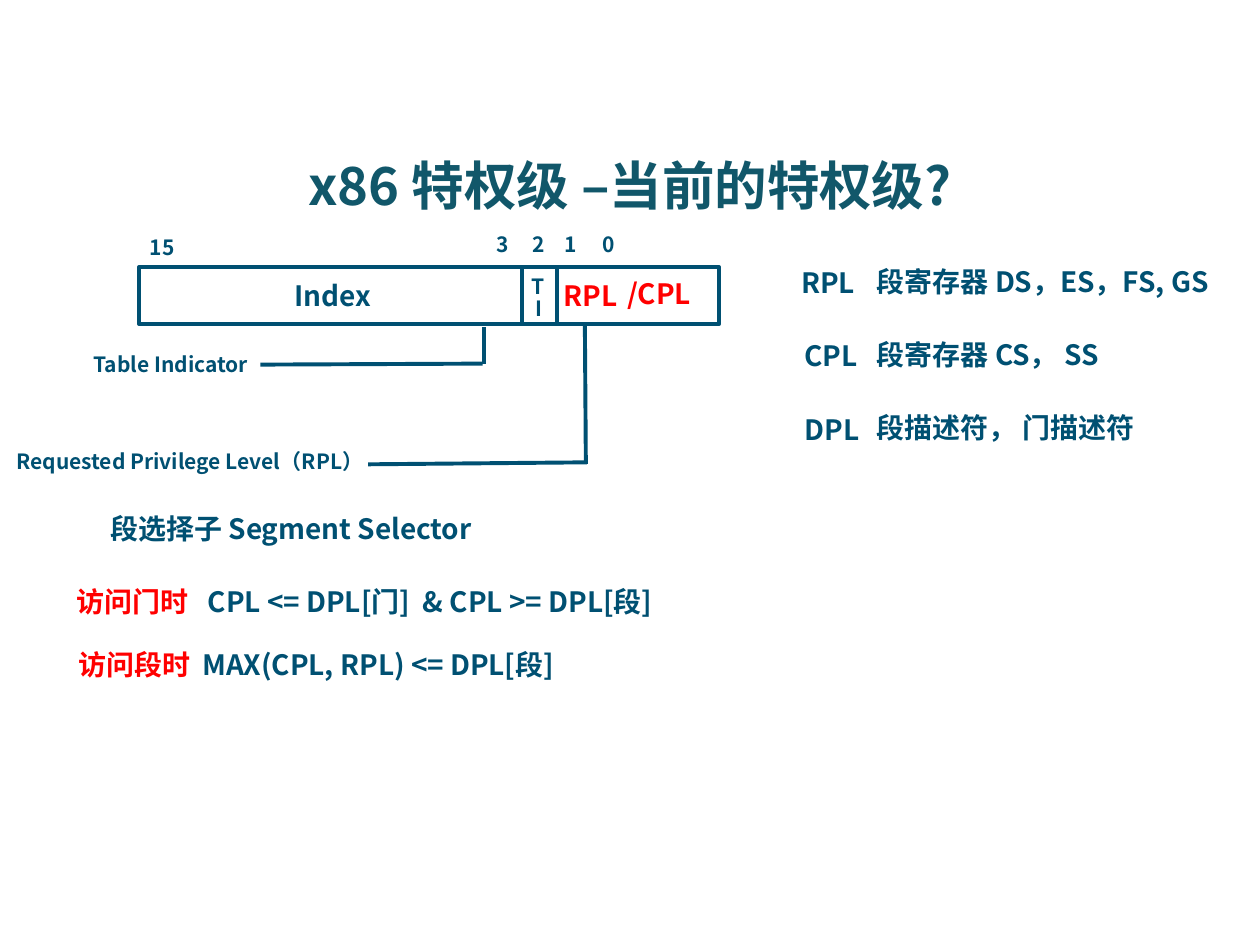
from lxml import etree
from pptx import Presentation
from pptx.dml.color import RGBColor
from pptx.enum.shapes import MSO_CONNECTOR, MSO_SHAPE
from pptx.enum.text import PP_ALIGN
from pptx.oxml.ns import qn
from pptx.util import Cm, Pt

STRAIGHT = MSO_CONNECTOR.STRAIGHT
RECTANGLE = MSO_SHAPE.RECTANGLE
LEFT, CENTER = PP_ALIGN.LEFT, PP_ALIGN.CENTER
FONT = "Noto Sans CJK SC"
BLUE, TEAL, RED = "005072", "11576A", "FF0000"
LINE_WIDTH = Pt(2.25)
BODY, SMALL = 16, 12
HEIGHTS = {30: 1.55, BODY: 0.94, SMALL: 0.76}


def color(hex_string):
    return RGBColor.from_string(hex_string)


def add_text(page, text, left, top, width, size=BODY, ink=BLUE, align=LEFT):
    box = page.shapes.add_textbox(Cm(left), Cm(top), Cm(width), Cm(HEIGHTS[size]))
    box.text_frame.word_wrap = True
    para = box.text_frame.paragraphs[0]
    para.alignment = align
    span = para.add_run()
    span.text = text
    font = span.font
    font.size, font.bold, font.name = Pt(size), True, FONT
    font.color.rgb = color(ink)
    east_asian = etree.SubElement(span._r.get_or_add_rPr(), qn("a:ea"))
    east_asian.set("typeface", FONT)


def add_line(page, x1, y1, x2, y2):
    line = page.shapes.add_connector(STRAIGHT, Cm(x1), Cm(y1), Cm(x2), Cm(y2))
    line.line.color.rgb = color(BLUE)
    line.line.width = LINE_WIDTH
    etree.SubElement(line._element.spPr, qn("a:effectLst"))


def add_frame(page, left, top, width, height):
    frame = page.shapes.add_shape(RECTANGLE, Cm(left), Cm(top), Cm(width), Cm(height))
    frame.shadow.inherit = False
    frame.fill.background()
    frame.line.color.rgb = color(BLUE)
    frame.line.width = LINE_WIDTH


def add_selector(page):
    """Draw the segment selector with its fields and bit numbers."""
    add_frame(page, 2.8, 5.39, 11.7, 1.14)
    add_line(page, 10.53, 5.38, 10.53, 6.53)
    add_line(page, 11.22, 5.4, 11.22, 6.54)

    add_text(page, "Index", 5.69, 5.5, 3.53)
    add_text(page, "T", 10.46, 5.39, 0.81, size=SMALL)
    add_text(page, "I", 10.54, 5.84, 0.81, size=SMALL)
    add_text(page, "RPL", 11.12, 5.5, 1.8, ink=RED)
    add_text(page, "/CPL", 12.4, 5.46, 1.93, ink=RED)

    add_text(page, "15", 2.77, 4.6, 1.24, size=SMALL)
    for bit, left in (("3", 9.75), ("2", 10.48), ("1", 11.14), ("0", 11.9)):
        add_text(page, bit, left, 4.54, 0.74, size=SMALL)


def add_callouts(page):
    add_line(page, 9.75, 6.6, 9.75, 7.34)
    add_line(page, 9.73, 7.33, 5.25, 7.35)
    add_text(page, "Table Indicator", 1.63, 6.96, 4.32, size=SMALL)

    add_line(page, 11.79, 6.51, 11.81, 9.35)
    add_line(page, 11.83, 9.32, 7.42, 9.36)
    add_text(page, "Requested Privilege Level（RPL）", 0.08, 8.91, 13.89, size=SMALL)

    add_text(page, "段选择子 Segment Selector", 1.98, 10.18, 9.27)


def add_level_sources(page):
    """List where each privilege level is stored."""
    levels = (
        ("RPL", 15.9, "段寄存器 DS，ES，FS, GS", 7.52),
        ("CPL", 15.97, "段寄存器 CS， SS", 6.78),
        ("DPL", 15.97, "段描述符， 门描述符", 6.78),
    )
    for row, (level, left, source, width) in enumerate(levels):
        top = 5.2 + 1.48 * row
        add_text(page, level, left, top + 0.03, 1.8)
        add_text(page, source, 17.43, top, width)


def add_access_rules(page):
    rules = (
        ("访问门时", 1.3, "CPL <= DPL[门]  & CPL >= DPL[段]", 3.94, 11.65),
        ("访问段时", 1.33, "MAX(CPL, RPL) <= DPL[段]", 3.83, 10.57),
    )
    for row, (case, case_left, rule, rule_left, rule_width) in enumerate(rules):
        top = 11.65 + 1.28 * row
        add_text(page, case, case_left, top, 3.07, ink=RED)
        add_text(page, rule, rule_left, top, rule_width)


def main():
    deck = Presentation()
    deck.slide_width, deck.slide_height = Cm(25.4), Cm(19.05)
    page = deck.slides.add_slide(deck.slide_layouts[6])
    add_text(page, "x86 特权级 –当前的特权级?", 0, 2.97, 25.4,
             size=30, ink=TEAL, align=CENTER)
    add_level_sources(page)
    add_access_rules(page)
    add_selector(page)
    add_callouts(page)
    deck.save("out.pptx")


if __name__ == "__main__":
    main()
